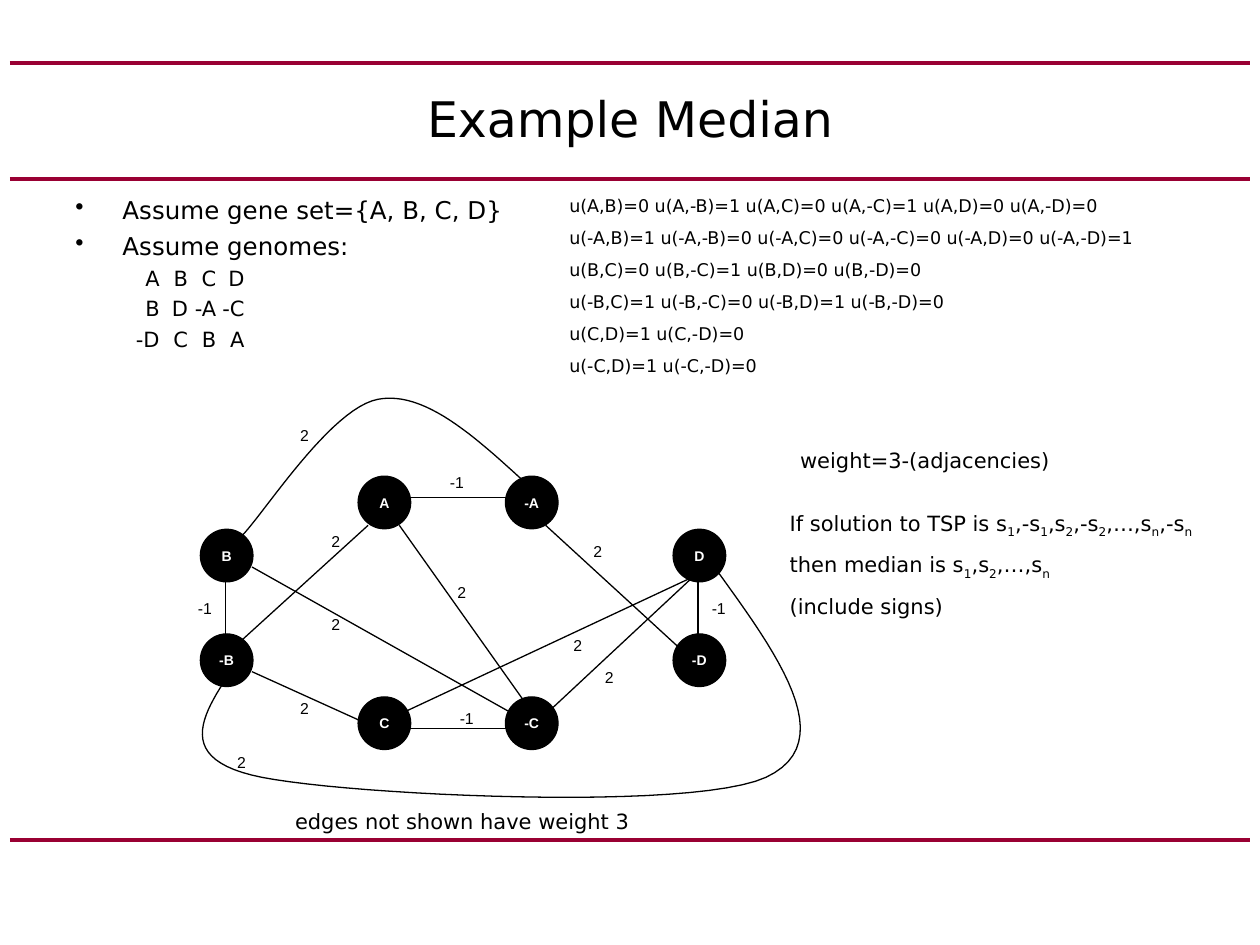
import pptx
import pptx.util
import pptx.dml.color
import pptx.enum.shapes
import pptx.enum.text
import lxml.etree

Cm, Pt = pptx.util.Cm, pptx.util.Pt
RGB = pptx.dml.color.RGBColor
ALIGN, ANCHOR = pptx.enum.text.PP_ALIGN, pptx.enum.text.MSO_ANCHOR
SHAPE, LINK = pptx.enum.shapes.MSO_SHAPE, pptx.enum.shapes.MSO_CONNECTOR
BLACK, WHITE, WINE = RGB(0, 0, 0), RGB(255, 255, 255), RGB(0x99, 0, 0x33)
SANS, ARIAL = "DejaVu Sans", "Arial"
NS = "{http://schemas.openxmlformats.org/drawingml/2006/main}"

RULES = [1.27, 3.6, 16.93]
FACTS = ["Assume gene set={A, B, C, D}", "Assume genomes:"]
GENOMES = [["A", "B", "C", "D"], ["B", "D", "-A", "-C"], ["-D", "C", "B", "A"]]
PAIRS = [
    "u(A,B)=0 u(A,-B)=1 u(A,C)=0 u(A,-C)=1 u(A,D)=0 u(A,-D)=0",
    "u(-A,B)=1 u(-A,-B)=0 u(-A,C)=0 u(-A,-C)=0 u(-A,D)=0 u(-A,-D)=1",
    "u(B,C)=0 u(B,-C)=1 u(B,D)=0 u(B,-D)=0",
    "u(-B,C)=1 u(-B,-C)=0 u(-B,D)=1 u(-B,-D)=0",
    "u(C,D)=1 u(C,-D)=0",
    "u(-C,D)=1 u(-C,-D)=0",
]
TOUR = [
    "If solution to TSP is s_1_,-s_1_,s_2_,-s_2_,…,s_n_,-s_n_",
    "then median is s_1_,s_2_,…,s_n_",
    "(include signs)",
]
NODES = {
    "A": (7.75, 10.13), "-A": (10.72, 10.13),
    "C": (7.75, 14.58), "-C": (10.72, 14.58),
    "B": (4.57, 11.2), "-B": (4.57, 13.31),
    "D": (14.1, 11.2), "-D": (14.1, 13.31),
}
SIZE = 1.06
EDGES = [
    (8.15, 10.03, 10.49, 10.03), (8.15, 14.68, 10.49, 14.68),
    (4.55, 13, 4.55, 11.51), (14.07, 11.51, 14.07, 12.78),
    (7.42, 10.59, 4.88, 12.9), (8.05, 10.59, 10.59, 14.17),
    (11, 10.59, 13.77, 13.13), (5.08, 11.43, 10.36, 14.4),
    (5.08, 13.54, 7.42, 14.6), (8.05, 14.4, 13.97, 11.63),
    (11, 14.4, 13.97, 11.63),
]
CURVES = [
    [(10.59, 9.73), (9.58, 8.81), (8.56, 7.87), (7.62, 8.05),
     (6.67, 8.23), (5.33, 10.34), (4.88, 10.8)],
    [(4.65, 13.54), (4.06, 14.43), (3.51, 15.32), (5.28, 15.67),
     (7.09, 16.03), (13.94, 16.36), (15.44, 15.67),
     (16.97, 14.96), (15.67, 13.18), (14.4, 11.43)],
]
COSTS = {
    "-1": [(3.71, 11.94), (8.79, 9.4), (8.99, 14.17), (14.07, 11.94)],
    "2": [(6.35, 10.59), (8.89, 11.63), (5.72, 8.46), (11.63, 10.8),
          (6.35, 12.27), (5.72, 13.97), (4.45, 15.04), (11.23, 12.7),
          (11.86, 13.34)],
}
STEPS = 24

deck = pptx.Presentation()
deck.slide_width, deck.slide_height = Cm(25.4), Cm(19.05)
slide = deck.slides.add_slide(deck.slide_layouts[6])
shapes = slide.shapes


def style(para, size, font=SANS, color=BLACK, bold=False):
    for run in para.runs:
        run.font.size, run.font.name = Pt(size), font
        run.font.bold, run.font.color.rgb = bold, color


def write(box, lines, size, gap=0, font=SANS, align=ALIGN.LEFT):
    area = shapes.add_textbox(*map(Cm, box)).text_frame
    area.word_wrap = True
    for num, line in enumerate(lines):
        para = area.add_paragraph() if num else area.paragraphs[0]
        para.alignment = align
        if num:
            para.space_before = Pt(gap)
        for odd, part in enumerate(line.split("_")):
            if part:
                run = para.add_run()
                run.text = part
                if odd % 2:
                    run._r.get_or_add_rPr().set("baseline", "-25000")
        style(para, size, font)
    return area


def draw(ax, ay, bx, by, color=BLACK, width=0.75):
    line = shapes.add_connector(LINK.STRAIGHT, Cm(ax), Cm(ay), Cm(bx), Cm(by))
    line.line.color.rgb, line.line.width = color, Pt(width)
    lxml.etree.SubElement(line._element.spPr, NS + "effectLst")


def bend(pts):
    dots = []
    for num in range(0, len(pts) - 1, 3):
        for step in range(1, STEPS + 1):
            t = step / STEPS
            mix = ((1 - t) ** 3, 3 * t * (1 - t) ** 2, 3 * t * t * (1 - t), t ** 3)
            dots.append([Cm(sum(m * p[axis] for m, p in zip(mix, pts[num:num + 4])))
                         for axis in (0, 1)])
    path = shapes.build_freeform(*map(Cm, pts[0]))
    path.add_line_segments(dots, close=False)
    curve = path.convert_to_shape()
    curve.shadow.inherit = False
    curve.fill.background()
    curve.line.color.rgb, curve.line.width = BLACK, Pt(0.75)


for y in RULES:
    draw(0.2, y, 25.2, y, WINE, 2.25)

title = write((1.27, 1.27, 22.86, 2.21), ["Example Median"], 28, align=ALIGN.CENTER)
title.vertical_anchor = ANCHOR.MIDDLE

body = write((1.27, 3.81, 9.9, 3.6), FACTS, 14, 3.5)
for para in body.paragraphs:
    props = para._p.get_or_add_pPr()
    props.set("marL", str(Cm(0.95)))
    props.set("indent", str(Cm(-0.95)))
    lxml.etree.SubElement(props, NS + "buChar", char="•")
for row in GENOMES:
    para = body.add_paragraph()
    tabs = lxml.etree.SubElement(para._p.get_or_add_pPr(), NS + "tabLst")
    for col in range(len(row)):
        lxml.etree.SubElement(tabs, NS + "tab", pos=str(Cm(1.7 + 0.57 * col)), algn="r")
    para.text = "".join("\t" + gene for gene in row)
    para.space_before = Pt(3)
    style(para, 12)

for name, (x, y) in NODES.items():
    node = shapes.add_shape(SHAPE.OVAL, Cm(x - SIZE / 2), Cm(y - SIZE / 2), Cm(SIZE), Cm(SIZE))
    node.shadow.inherit = False
    node.fill.solid()
    node.fill.fore_color.rgb = node.line.color.rgb = BLACK
    node.line.width = Pt(0.75)
    area = node.text_frame
    area.margin_left = area.margin_right = area.margin_top = area.margin_bottom = 0
    area.word_wrap, area.vertical_anchor = False, ANCHOR.MIDDLE
    area.text = name
    area.paragraphs[0].alignment = ALIGN.CENTER
    style(area.paragraphs[0], 8, ARIAL, WHITE, True)

for edge in EDGES:
    draw(*edge)
for pts in CURVES:
    bend(pts)
for cost, spots in COSTS.items():
    for x, y in spots:
        write((x, y, 0.84, 0.64), [cost], 9, font=ARIAL, align=ALIGN.CENTER)

write((4.34, 16.18, 9.96, 0.76), ["edges not shown have weight 3"], 12, align=ALIGN.CENTER)
write((11.23, 3.81, 13.13, 3.91), PAIRS, 10, 6.2)
write((15.67, 10.16, 9.09, 2.46), TOUR, 12, 7.5)
write((15.88, 8.89, 7.19, 0.76), ["weight=3-(adjacencies)"], 12)

deck.save("out.pptx")
